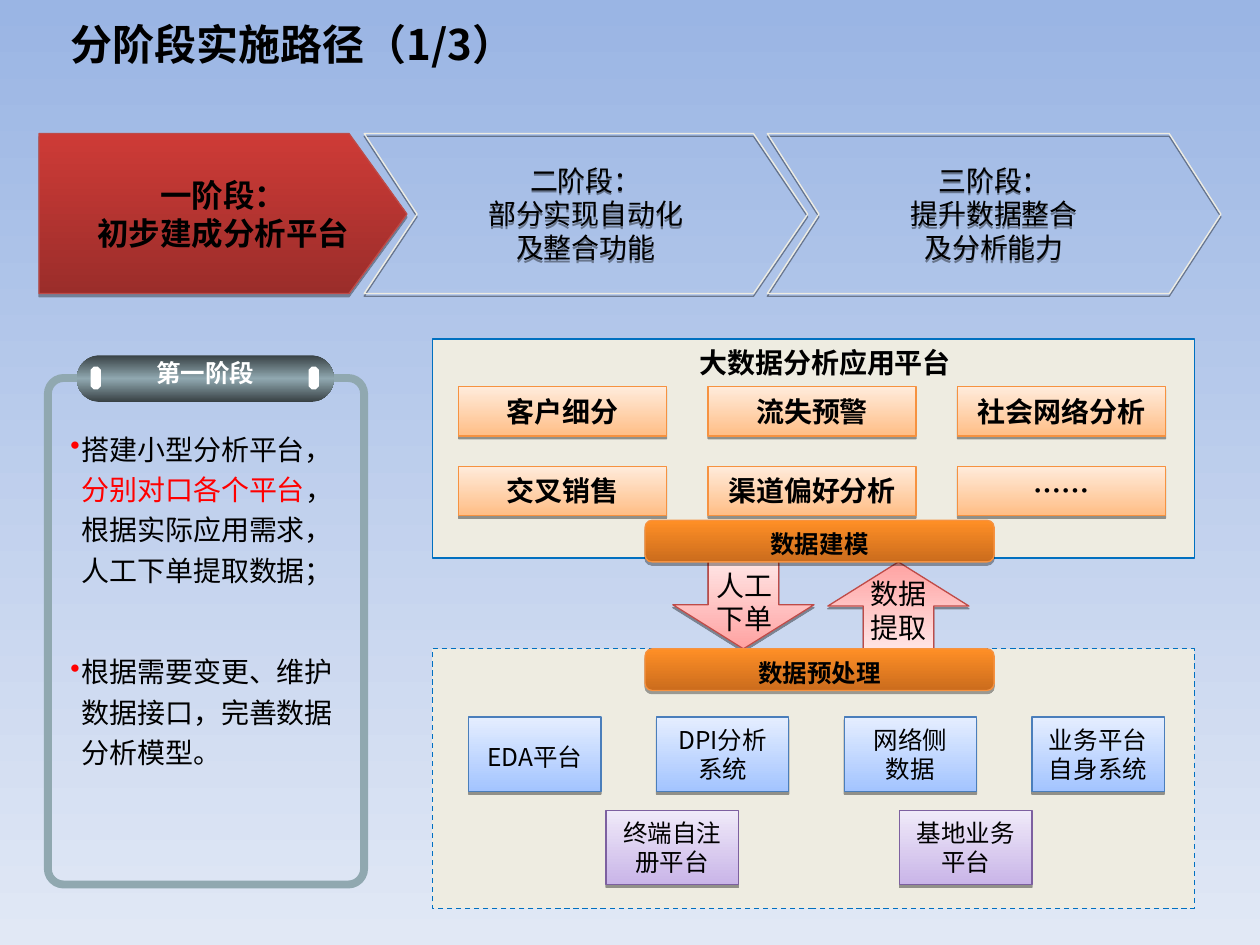
from copy import deepcopy
from lxml.etree import SubElement
from pptx import Presentation
from pptx.dml.color import RGBColor
from pptx.enum.dml import MSO_LINE as Dash
from pptx.enum.shapes import MSO_SHAPE as Kind
from pptx.enum.text import MSO_ANCHOR as Anchor, PP_ALIGN as Align
from pptx.oxml.ns import qn
from pptx.util import Inches, Pt

FACE = "Noto Sans CJK SC"
BLUE = ("E5EEFF", "A3C4FF", "4A7EBB")
LILAC = ("F0EAF9", "C9B5E8", "7D60A0")
PEACH = ("FFEBDB", "FFBE86", "F69240")
AMBER = ("FF8F26", "CB6C1D", "F69240")
PINK = ("FFE5E5", "FFA2A1", "BE4B48")
RED = ("CE3B37", "9B2D2A", "BE4B48")


def tint(text):
    return RGBColor.from_string(text)


def blend(fill, top, base):
    fill.gradient()
    fill.gradient_angle = 270
    for stop, tone, place in zip(fill.gradient_stops, (top, base), (0, 1)):
        stop.color.rgb = tint(tone)
        stop.position = place


def shade(shape, alpha=38, dist=1.6):
    shape.shadow.inherit = False
    box = shape._element.spPr.find(qn("a:effectLst"))
    cast = SubElement(box, qn("a:outerShdw"), blurRad="0", dist=str(Pt(dist)),
                      dir="5400000", rotWithShape="0")
    tone = SubElement(cast, qn("a:srgbClr"), val="000000")
    SubElement(tone, qn("a:alpha"), val=str(alpha * 1000))


def edge(shape, tone, width=0.75):
    shape.line.color.rgb = tint(tone)
    shape.line.width = Pt(width)


def style(para, size, bold=False, tone="000000", align=Align.CENTER, lead=None):
    para.alignment = align
    if lead:
        para.line_spacing = lead
    font = para.font
    font.name, font.size, font.bold = FACE, Pt(size), bold
    font.color.rgb = tint(tone)
    SubElement(para._p.pPr.find(qn("a:defRPr")), qn("a:ea"), typeface=FACE)


def write(shape, text, size, wrap=True, anchor=Anchor.MIDDLE, **look):
    frame = shape.text_frame
    frame.word_wrap = wrap
    frame.vertical_anchor = anchor
    frame.text = text
    for para in frame.paragraphs:
        style(para, size, **look)


def block(slide, kind, left, top, width, height):
    shape = slide.shapes.add_shape(kind, Inches(left), Inches(top),
                                   Inches(width), Inches(height))
    shape.shadow.inherit = False
    return shape


def tile(slide, kind, area, hues, alpha=38, dist=1.6):
    shape = block(slide, kind, *area)
    blend(shape.fill, *hues[:2])
    edge(shape, hues[2])
    shade(shape, alpha, dist)
    return shape


def plain(slide, kind, area, tone):
    shape = block(slide, kind, *area)
    shape.fill.solid()
    shape.fill.fore_color.rgb = tint(tone)
    shape.line.fill.background()
    return shape


def panel(slide, top, height):
    shape = plain(slide, Kind.RECTANGLE, (3.43, top, 6.05, height), "EEECE1")
    edge(shape, "0070C0")
    return shape


def note(slide, area, text, size, **look):
    box = slide.shapes.add_textbox(*map(Inches, area))
    write(box, text, size, anchor=Anchor.TOP, **look)
    return box


def stage(slide, left, neck, tip, notch=None):
    top, mid, base = 1.06, 1.7, 2.33
    spots = [(neck, top), (tip, mid), (neck, base), (left, base)]
    if notch:
        spots.append((notch, mid))
    form = slide.shapes.build_freeform(Inches(left), Inches(top))
    form.add_line_segments([(Inches(x), Inches(y)) for x, y in spots])
    return form.convert_to_shape()


def stages(slide):
    first = stage(slide, 0.31, 2.77, 3.23)
    blend(first.fill, *RED[:2])
    edge(first, RED[2])
    shade(first, 35, 1.8)
    write(first, "一阶段：\n初步建成分析平台", 18, bold=True)
    for spots, text in (
            ((2.89, 5.98, 6.41, 3.31), "二阶段：\n部分实现自动化\n及整合功能"),
            ((6.09, 9.28, 9.69, 6.5), "三阶段：\n提升数据整合\n及分析能力")):
        shape = stage(slide, *spots)
        shape.fill.background()
        edge(shape, "EEECE1")
        shade(shape)
        write(shape, text, 16)


def bullet(para, runs):
    props = para._p.get_or_add_pPr()
    props.set("marL", str(Inches(0.09)))
    props.set("indent", str(Inches(-0.09)))
    hue = SubElement(props, qn("a:buClr"))
    SubElement(hue, qn("a:srgbClr"), val="FF0000")
    SubElement(props, qn("a:buChar"), char="•")
    style(para, 16, align=Align.LEFT, lead=1.2)
    for text, tone in runs:
        run = para.add_run()
        run.text = text
        if tone:
            run.font.color.rgb = tint(tone)


def phase(slide):
    frame = block(slide, Kind.ROUNDED_RECTANGLE, 0.38, 3, 2.51, 4.02)
    frame.adjustments[0] = 0.05
    frame.fill.background()
    edge(frame, "90A8B0", 4.5)
    pill = block(slide, Kind.ROUNDED_RECTANGLE, 0.61, 2.82, 2.04, 0.37)
    pill.adjustments[0] = 0.5
    pill.line.fill.background()
    blend(pill.fill, "384144", "90A8B0")
    stops = pill._element.spPr.find(".//" + qn("a:gsLst"))
    stops.append(deepcopy(stops[0]))
    for stop, place in zip(pill.fill.gradient_stops, (0, 0.5, 1)):
        stop.position = place
    for left in (2.45, 0.72):
        plain(slide, Kind.OCTAGON, (left, 2.91, 0.08, 0.18), "FFFFFF")
    note(slide, (1.14, 2.79, 0.98, 0.34), "第一阶段", 14,
         wrap=False, bold=True, tone="FFFFFF")
    body = slide.shapes.add_textbox(*map(Inches, (0.46, 3.33, 2.33, 2.83)))
    text = body.text_frame
    text.word_wrap = True
    head = text.paragraphs[0]
    head.space_after = Pt(35)
    bullet(head, [("搭建小型分析平台，", None), ("分别对口各个平台", "FF0000"),
                  ("，根据实际应用需求，人工下单提取数据；", None)])
    bullet(text.add_paragraph(), [("根据需要变更、维护数据接口，完善数据分析模型。", None)])


def main():
    deck = Presentation()
    deck.slide_width, deck.slide_height = Inches(10), Inches(7.5)
    slide = deck.slides.add_slide(deck.slide_layouts[5])
    blend(slide.background.fill, "9AB5E4", "E1E8F5")
    title = slide.shapes.title
    title.left, title.top, title.width, title.height = map(
        Inches, (0.46, 0.1, 9.09, 0.57))
    write(title, "分阶段实施路径（1/3）", 24, anchor=Anchor.TOP, bold=True, align=Align.LEFT)

    rise = tile(slide, Kind.DOWN_ARROW, (6.57, 4.46, 1.12, 0.7), PINK)
    rise.rotation = 180
    tile(slide, Kind.DOWN_ARROW, (5.34, 4.45, 1.12, 0.7), PINK)
    stages(slide)
    phase(slide)

    panel(slide, 5.15, 2.06).line.dash_style = Dash.DASH
    feeds = ("EDA平台", "DPI分析系统", "网络侧\n数据", "业务平台\n自身系统")
    for col, text in enumerate(feeds):
        area = (3.72 + 1.49 * col, 5.69, 1.05, 0.59)
        write(tile(slide, Kind.RECTANGLE, area, BLUE), text, 14,
              lead=None if col else 1.2)
    for left, text in ((4.81, "终端自注册平台"), (7.14, "基地业务平台")):
        write(tile(slide, Kind.RECTANGLE, (left, 6.43, 1.05, 0.59), LILAC), text, 14)

    panel(slide, 2.69, 1.74)
    uses = ("客户细分", "流失预警", "社会网络分析",
            "交叉销售", "渠道偏好分析", "……")
    for spot, text in enumerate(uses):
        row, col = divmod(spot, 3)
        area = (3.64 + 1.98 * col, 3.07 + 0.63 * row, 1.65, 0.39)
        write(tile(slide, Kind.RECTANGLE, area, PEACH), text, 16, wrap=False, bold=True)
    for top, text in ((5.15, "数据预处理"), (4.13, "数据建模")):
        bar = tile(slide, Kind.ROUNDED_RECTANGLE, (5.12, top, 2.77, 0.33), AMBER, 35, 1.8)
        write(bar, text, 14, bold=True, lead=1.2)

    note(slide, (5.51, 4.46, 0.8, 0.64), "人工\n下单", 16)
    note(slide, (6.73, 4.53, 0.8, 0.64), "数据提取", 16)
    note(slide, (5.34, 2.69, 2.42, 0.37), "大数据分析应用平台", 16, bold=True)
    deck.save("out.pptx")


if __name__ == "__main__":
    main()
